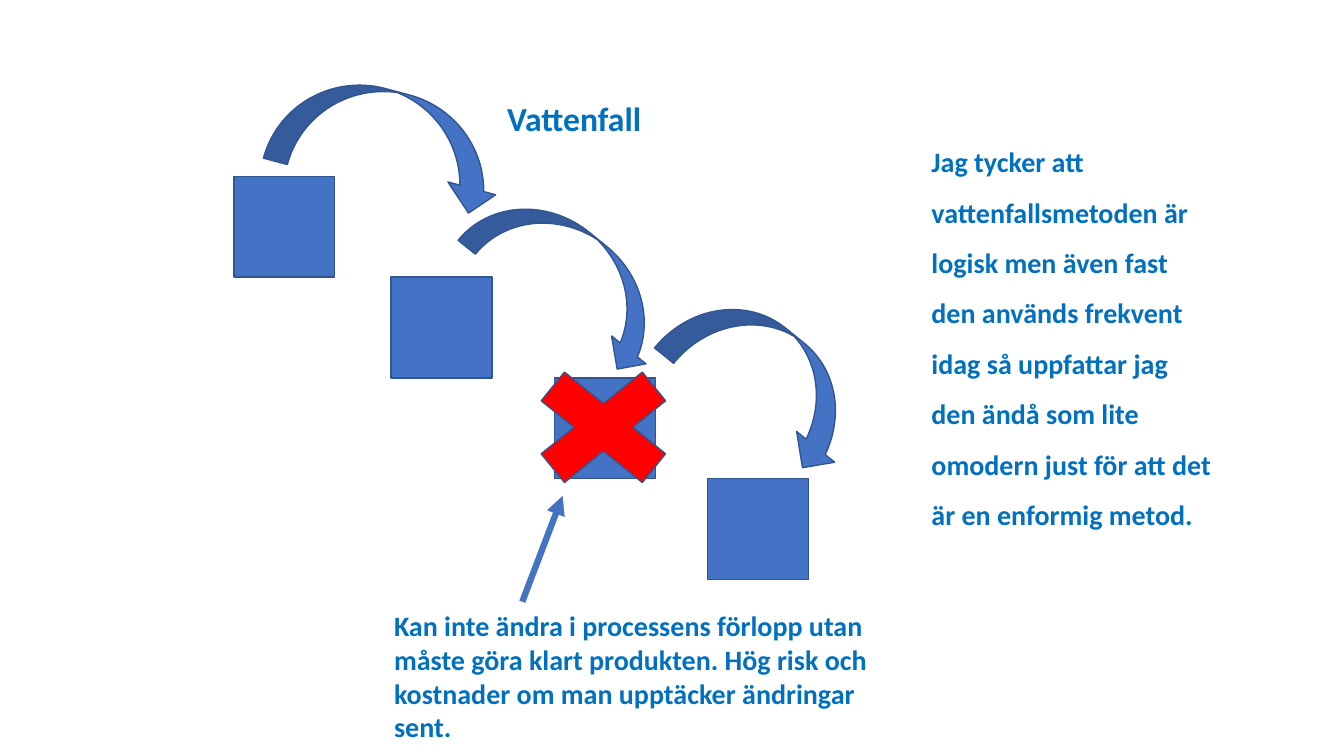
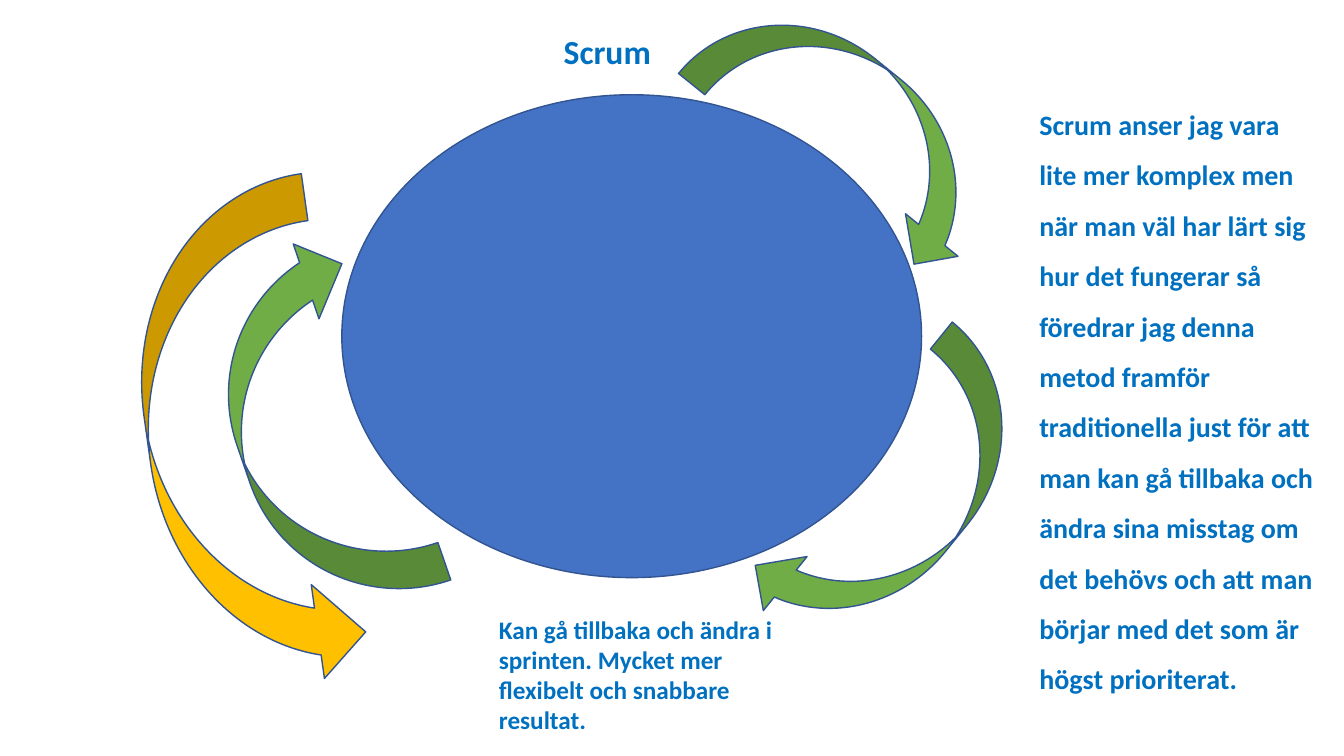
import enum

import lxml.etree
import pptx
import pptx.dml.color
import pptx.enum.shapes
import pptx.enum.text
import pptx.oxml.ns
import pptx.util

PX = 9144  # EMU per px, 100 px to the inch
SHAPE = pptx.enum.shapes.MSO_SHAPE


class Theme(enum.Enum):
    FONT = "Calibri"
    TEXT = "0070C0"
    BLUE = "4472C4"
    OUTLINE = "325491"
    RED = "FF0000"
    GREEN = "70AD47"
    GOLD = "FFC000"
    TITLE_SIZE = 24
    BODY_SIZE = 20
    NOTE_SIZE = 18


def color(entry):
    return pptx.dml.color.RGBColor.from_string(entry.value)


def write(box, text, frame, size, spacing=1.0):
    """Place a text box or placeholder and give it bold, left-aligned text."""
    box.left, box.top, box.width, box.height = [PX * length for length in frame]
    text_frame = box.text_frame
    text_frame.word_wrap = True
    text_frame.auto_size = pptx.enum.text.MSO_AUTO_SIZE.SHAPE_TO_FIT_TEXT
    text_frame.vertical_anchor = pptx.enum.text.MSO_ANCHOR.TOP
    text_frame.text = text
    para = text_frame.paragraphs[0]
    para.alignment = pptx.enum.text.PP_ALIGN.LEFT
    para.line_spacing = spacing
    span = para.runs[0]
    span.font.name = Theme.FONT.value
    span.font.size = pptx.util.Pt(size.value)
    span.font.bold = True
    span.font.color.rgb = color(Theme.TEXT)


deck = pptx.Presentation()
deck.slide_width = 1333 * PX
deck.slide_height = 750 * PX
title_only = deck.slide_layouts[5]

# Shapes: kind, (left, top, width, height), rotation, fill
steps = [
    (SHAPE.RECTANGLE, (left, 175 + 100 * row, 100, 100), 0, Theme.BLUE)
    for row, left in enumerate((232, 388, 550, 702))
]
waterfall_shapes = steps + [
    (SHAPE.CURVED_DOWN_ARROW, (270, 91, 235, 98), 15, Theme.BLUE),
    (SHAPE.CURVED_DOWN_ARROW, (457, 231, 225, 88), 39, Theme.BLUE),
    (SHAPE.MATH_MULTIPLY, (502, 346, 193, 156), 0, Theme.RED),
    (SHAPE.CURVED_DOWN_ARROW, (656, 326, 213, 97), 39, Theme.BLUE),
]
scrum_shapes = [
    (SHAPE.OVAL, (339, 94, 575, 479), 0, Theme.BLUE),
    (SHAPE.CURVED_DOWN_ARROW, (678, 59, 334, 134), 39, Theme.GREEN),
    (SHAPE.CURVED_DOWN_ARROW, (717, 428, 345, 138), 129, Theme.GREEN),
    (SHAPE.CURVED_DOWN_ARROW, (127, 347, 371, 157), 251, Theme.GREEN),
    (SHAPE.CURVED_UP_ARROW, (-12, 342, 506, 188), 82, Theme.GOLD),
]

# Texts: wording, (left, top, width, height), size, line spacing
waterfall_texts = [
    ("Kan inte ändra i processens förlopp utan måste göra klart produkten. "
     "Hög risk och kostnader om man upptäcker ändringar sent.",
     (381, 599, 524, 145), Theme.BODY_SIZE, 1.0),
    ("Jag tycker att vattenfallsmetoden är logisk men även fast den används "
     "frekvent idag så uppfattar jag den ändå som lite omodern just för att "
     "det är en enformig metod.",
     (914, 122, 300, 409), Theme.BODY_SIZE, 1.5),
]
scrum_texts = [
    ("Kan gå tillbaka och ändra i sprinten. Mycket mer flexibelt och "
     "snabbare resultat.",
     (485, 604, 300, 131), Theme.NOTE_SIZE, 1.0),
    ("Scrum anser jag vara lite mer komplex men när man väl har lärt sig hur "
     "det fungerar så föredrar jag denna metod framför traditionella just för "
     "att man kan gå tillbaka och ändra sina misstag om det behövs och att "
     "man börjar med det som är högst prioriterat.",
     (1021, 85, 300, 611), Theme.BODY_SIZE, 1.5),
]

# Arrows: (start x, start y, end x, end y)
slides = [
    ("Vattenfall", (493, 92, 300, 50), waterfall_shapes, waterfall_texts,
     [(518, 597, 558, 492)]),
    ("Scrum", (549, 26, 300, 50), scrum_shapes, scrum_texts, []),
]

for title, title_frame, shapes, texts, arrows in slides:
    page = deck.slides.add_slide(title_only)
    write(page.shapes.title, title, title_frame, Theme.TITLE_SIZE)

    for kind, frame, rotation, fill in shapes:
        shape = page.shapes.add_shape(kind, *[PX * length for length in frame])
        shape.rotation = rotation
        shape.shadow.inherit = False
        shape.fill.solid()
        shape.fill.fore_color.rgb = color(fill)
        shape.line.color.rgb = color(Theme.OUTLINE)
        shape.line.width = pptx.util.Pt(1)

    for ends in arrows:
        arrow = page.shapes.add_connector(
            pptx.enum.shapes.MSO_CONNECTOR.STRAIGHT, *[PX * end for end in ends])
        arrow.line.color.rgb = color(Theme.BLUE)
        arrow.line.width = pptx.util.Pt(4.5)
        line = arrow.line._get_or_add_ln()
        lxml.etree.SubElement(line, pptx.oxml.ns.qn("a:tailEnd"), type="triangle")
        lxml.etree.SubElement(line.getparent(), pptx.oxml.ns.qn("a:effectLst"))

    for text, frame, size, spacing in texts:
        box = page.shapes.add_textbox(0, 0, PX, PX)
        write(box, text, frame, size, spacing)

deck.save("out.pptx")
